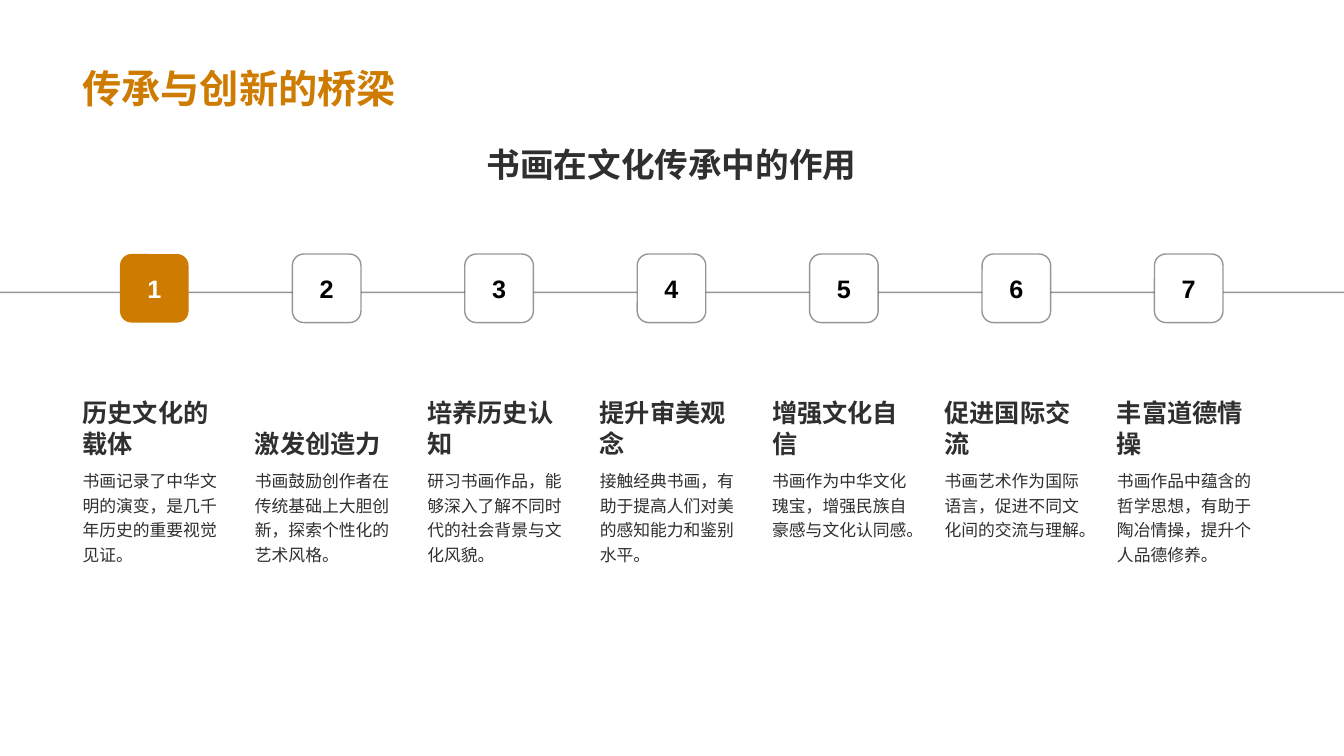
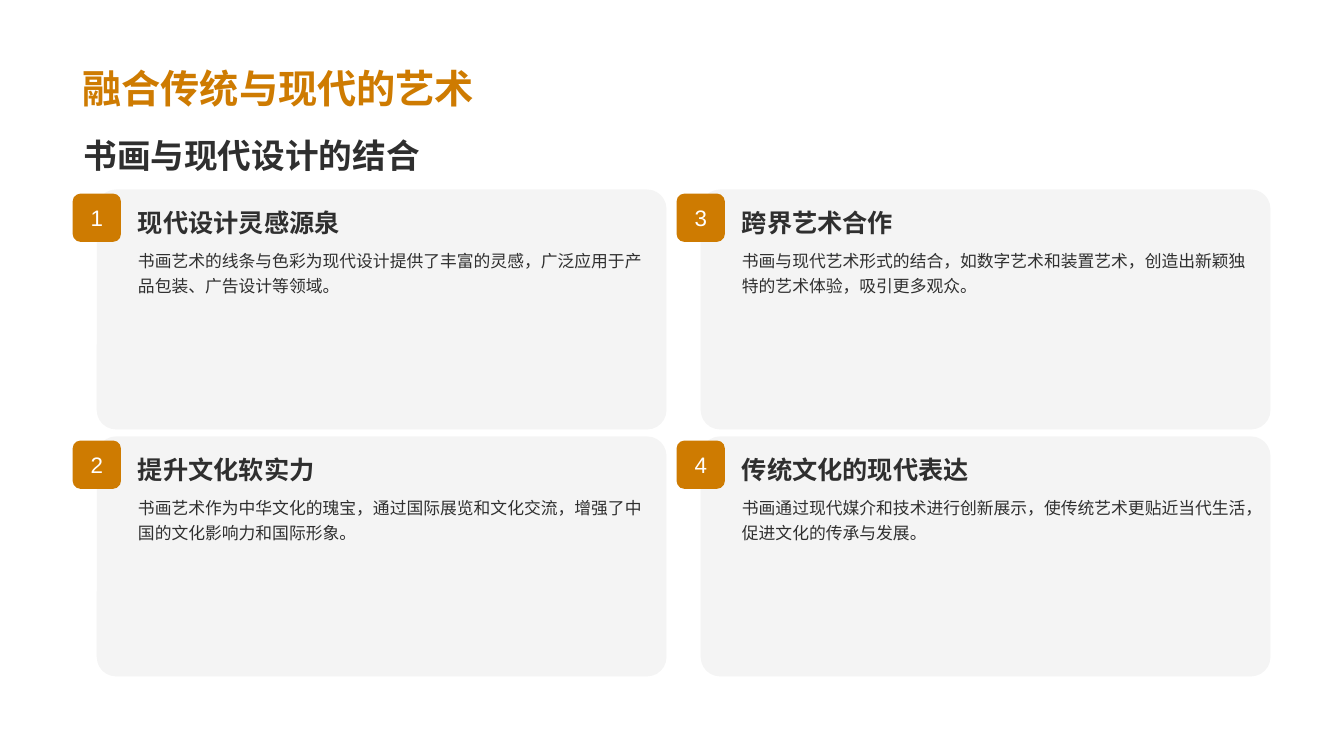
"""Build two slides on calligraphy and painting: a timeline and a card grid."""
from lxml import etree
from pptx import Presentation
from pptx.dml.color import RGBColor
from pptx.enum.shapes import MSO_CONNECTOR, MSO_SHAPE
from pptx.enum.text import MSO_ANCHOR, PP_ALIGN
from pptx.oxml.ns import qn
from pptx.util import Inches, Pt

ROUNDED = MSO_SHAPE.ROUNDED_RECTANGLE
STRAIGHT = MSO_CONNECTOR.STRAIGHT
TOP, MIDDLE, BOTTOM = MSO_ANCHOR.TOP, MSO_ANCHOR.MIDDLE, MSO_ANCHOR.BOTTOM
LEFT, CENTER = PP_ALIGN.LEFT, PP_ALIGN.CENTER

COLORS = {"accent": "CE7B01", "ink": "2F2F2F", "white": "FFFFFF", "black": "000000"}
CJK, LATIN = "Noto Sans CJK SC", "Arial"
WIDTH, HEIGHT = 13.33, 7.5
MARGIN = 0.72

TIMELINE = {
    "title": "传承与创新的桥梁",
    "subtitle": "书画在文化传承中的作用",
    "steps": [
        ("历史文化的载体", "书画记录了中华文明的演变，是几千年历史的重要视觉见证。"),
        ("激发创造力", "书画鼓励创作者在传统基础上大胆创新，探索个性化的艺术风格。"),
        ("培养历史认知", "研习书画作品，能够深入了解不同时代的社会背景与文化风貌。"),
        ("提升审美观念", "接触经典书画，有助于提高人们对美的感知能力和鉴别水平。"),
        ("增强文化自信", "书画作为中华文化瑰宝，增强民族自豪感与文化认同感。"),
        ("促进国际交流", "书画艺术作为国际语言，促进不同文化间的交流与理解。"),
        ("丰富道德情操", "书画作品中蕴含的哲学思想，有助于陶冶情操，提升个人品德修养。"),
    ],
}
CARDS = {
    "title": "融合传统与现代的艺术",
    "subtitle": "书画与现代设计的结合",
    "cards": [
        ("现代设计灵感源泉", "书画艺术的线条与色彩为现代设计提供了丰富的灵感，广泛应用于产品包装、广告设计等领域。"),
        ("提升文化软实力", "书画艺术作为中华文化的瑰宝，通过国际展览和文化交流，增强了中国的文化影响力和国际形象。"),
        ("跨界艺术合作", "书画与现代艺术形式的结合，如数字艺术和装置艺术，创造出新颖独特的艺术体验，吸引更多观众。"),
        ("传统文化的现代表达", "书画通过现代媒介和技术进行创新展示，使传统艺术更贴近当代生活，促进文化的传承与发展。"),
    ],
}


def color(name):
    return RGBColor.from_string(COLORS[name])


def set_alpha(fill, percent):
    """Make the solid colour inside a shape-properties or line element translucent."""
    solid = fill.find(qn("a:solidFill"))
    etree.SubElement(solid[0], qn("a:alpha"), val=str(percent * 1000))


def outline(line):
    line.color.rgb = color("ink")
    line.width = Pt(1)
    set_alpha(line._get_or_add_ln(), 50)


def write(shape, text, size, ink, font=CJK, bold=False, anchor=TOP, align=LEFT, spacing=None):
    frame = shape.text_frame
    frame.word_wrap = True
    frame.vertical_anchor = anchor
    if anchor == BOTTOM:
        frame.margin_bottom = Inches(0.02)
    para = frame.paragraphs[0]
    para.text = text
    para.alignment = align
    if spacing:
        para.line_spacing = Pt(spacing)
    para.font.name = font
    para.font.size = Pt(size)
    para.font.bold = bold
    para.font.color.rgb = color(ink)
    latin = para.font._element.find(qn("a:latin"))
    latin.addnext(latin.makeelement(qn("a:ea"), {"typeface": font}))


def add_text(page, place, text, size, ink="ink", **style):
    box = page.shapes.add_textbox(*map(Inches, place))
    write(box, text, size, ink, **style)


def add_rounded(page, place, fill):
    shape = page.shapes.add_shape(ROUNDED, *map(Inches, place))
    shape.shadow.inherit = False
    shape.fill.solid()
    shape.fill.fore_color.rgb = color(fill)
    shape.line.fill.background()
    return shape


def add_page(deck, content, subtitle_place, align):
    page = deck.slides.add_slide(deck.slide_layouts[6])
    add_text(page, (MARGIN, 0.14, 11.88, 0.98), content["title"], 28, "accent",
             bold=True, anchor=BOTTOM, spacing=34)
    add_text(page, subtitle_place, content["subtitle"], 24,
             bold=True, anchor=MIDDLE, align=align)
    return page


def build_timeline(deck):
    page = add_page(deck, TIMELINE, (0.73, 1.25, 11.86, 0.75), CENTER)
    axis = page.shapes.add_connector(STRAIGHT, 0, Inches(2.9), Inches(WIDTH), Inches(2.9))
    outline(axis.line)
    etree.SubElement(axis._element.spPr, qn("a:effectLst"))
    column, pitch, marker_size = 1.62, 1.71, 0.68
    for index, (heading, body) in enumerate(TIMELINE["steps"]):
        left = MARGIN + index * pitch
        marker_left = left + (column - marker_size) / 2
        current = index == 0
        marker = add_rounded(page, (marker_left, 2.52, marker_size, marker_size),
                             "accent" if current else "white")
        if not current:
            outline(marker.line)
        write(marker, str(index + 1), 18, "white" if current else "black",
              font=LATIN, bold=True, anchor=MIDDLE, align=CENTER)
        add_text(page, (left, 4.58, column, 1.58), body, 12, spacing=17.5)
        add_text(page, (left, 3.41, column, 1.16), heading, 18,
                 bold=True, anchor=BOTTOM, spacing=22)


def build_cards(deck):
    page = add_page(deck, CARDS, (0.73, 1.24, 11.88, 0.6), LEFT)
    rows, badge_size, text_width = 2, 0.48, 5.28
    for index, (heading, body) in enumerate(CARDS["cards"]):
        column, row = divmod(index, rows)
        left, top = 0.96 + column * 5.99, 1.88 + row * 2.45
        text_left, head_top = left + 0.31, top + 0.04
        body_top = head_top + badge_size
        card = add_rounded(page, (left, top, 5.65, 2.38), "ink")
        card.adjustments[0] = 0.08
        set_alpha(card._element.spPr, 5)
        add_text(page, (text_left, body_top, text_width, 1.74), body, 12, spacing=17.5)
        add_text(page, (text_left, head_top, text_width, badge_size), heading, 18,
                 bold=True, anchor=MIDDLE, spacing=28)
        badge = add_rounded(page, (left - badge_size / 2, head_top, badge_size, badge_size), "accent")
        write(badge, str(index + 1), 16, "white", font=LATIN, anchor=MIDDLE, align=CENTER)
        badge.text_frame.word_wrap = False


def main():
    deck = Presentation()
    deck.slide_width, deck.slide_height = Inches(WIDTH), Inches(HEIGHT)
    build_timeline(deck)
    build_cards(deck)
    deck.save("out.pptx")


if __name__ == "__main__":
    main()
